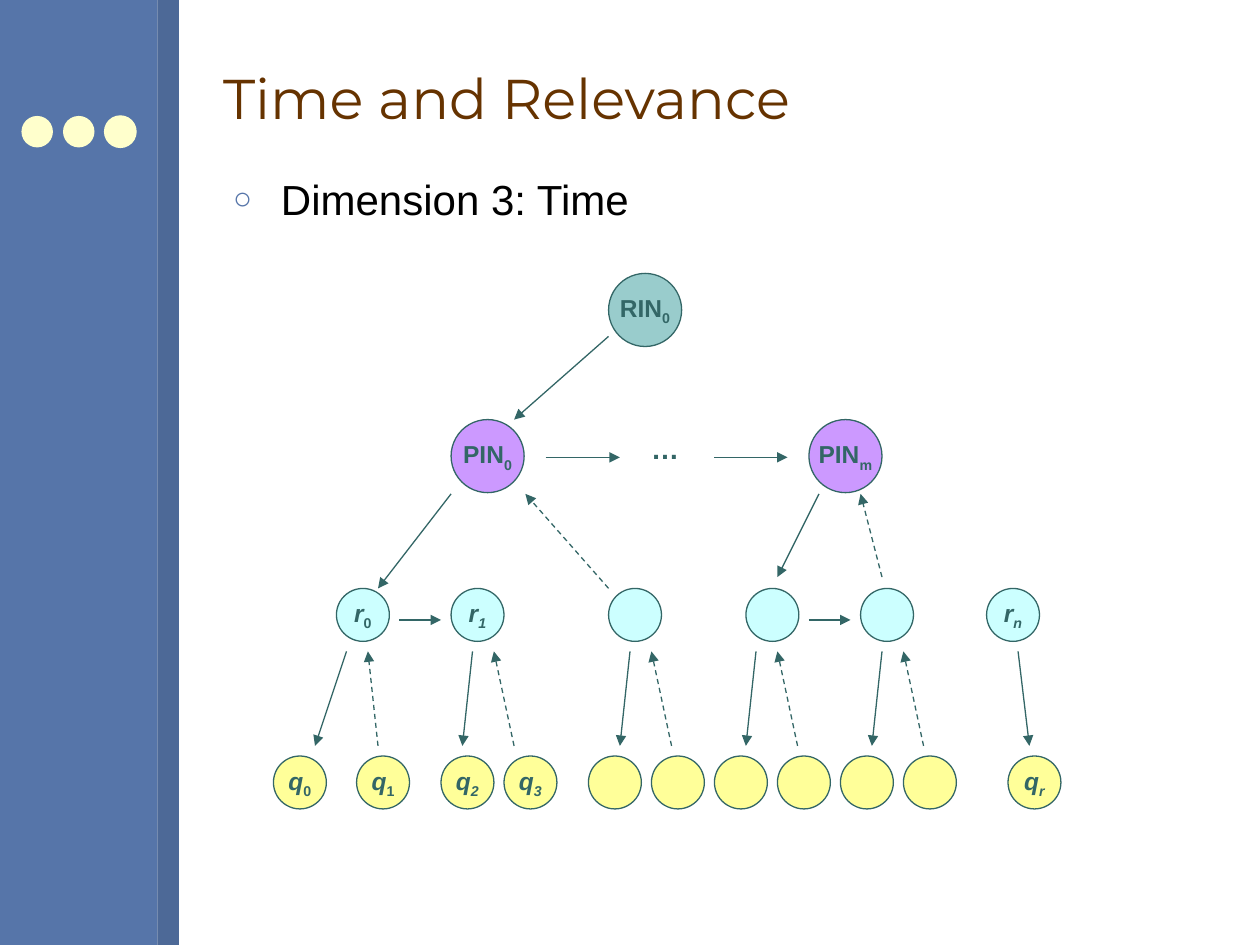
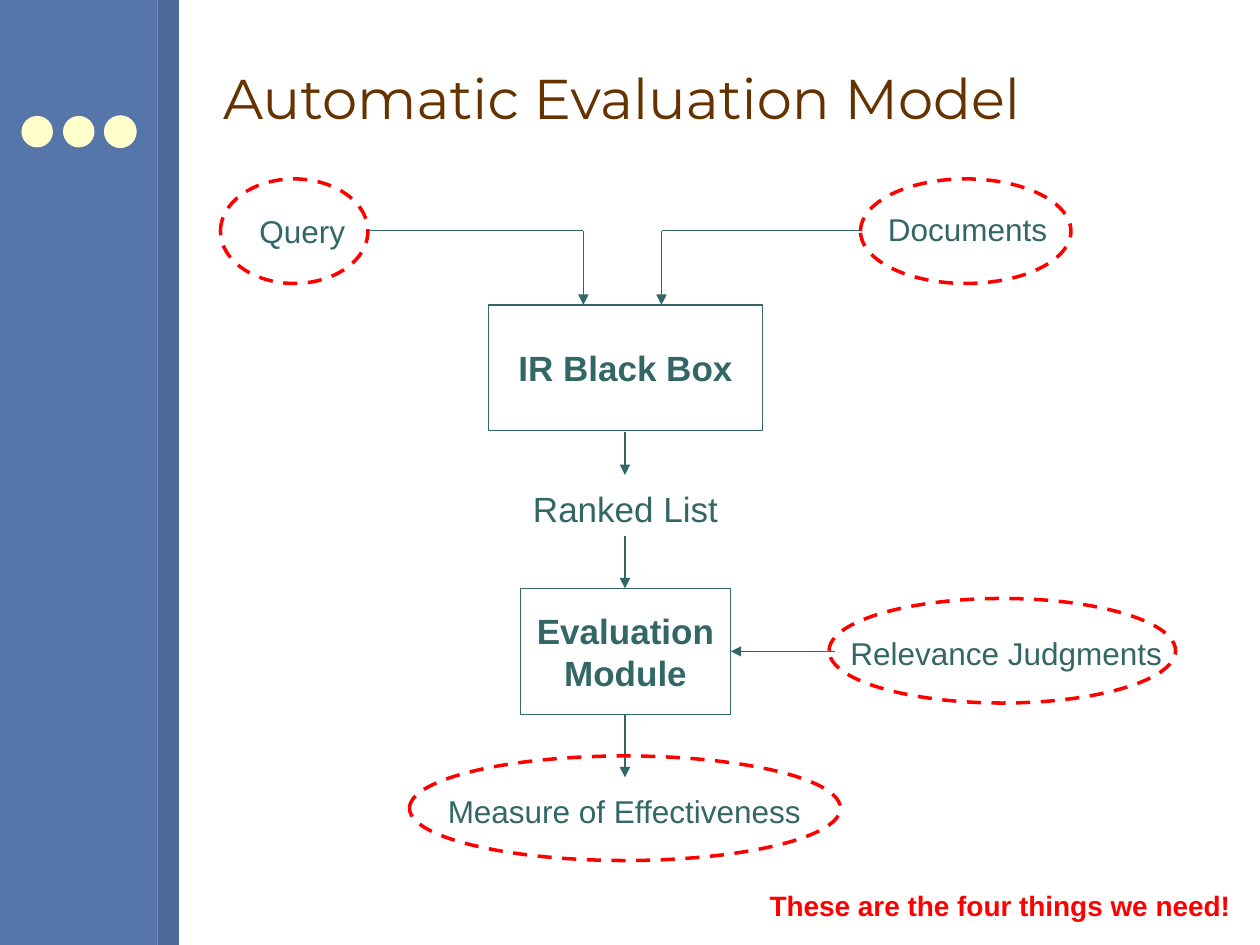
"""Builds two slides: a search timeline tree and an evaluation flow chart."""
import lxml.etree
import pptx
import pptx.dml.color
import pptx.enum.dml
import pptx.enum.shapes
import pptx.enum.text
import pptx.oxml.ns
import pptx.util

Inches = pptx.util.Inches
Pt = pptx.util.Pt
RGBColor = pptx.dml.color.RGBColor
Shape = pptx.enum.shapes.MSO_SHAPE
Align = pptx.enum.text.PP_ALIGN
Anchor = pptx.enum.text.MSO_ANCHOR
DASH = pptx.enum.dml.MSO_LINE.DASH
qn = pptx.oxml.ns.qn

BLUE = RGBColor(0x56, 0x75, 0xA9)
DARK_BLUE = RGBColor(0x4D, 0x69, 0x97)
CREAM = RGBColor(0xFF, 0xFF, 0xCC)
BROWN = RGBColor(0x66, 0x33, 0x00)
BLACK = RGBColor(0x00, 0x00, 0x00)
TEAL = RGBColor(0x33, 0x66, 0x66)
LIGHT_TEAL = RGBColor(0x99, 0xCC, 0xCC)
PURPLE = RGBColor(0xCC, 0x99, 0xFF)
CYAN = RGBColor(0xCC, 0xFF, 0xFF)
YELLOW = RGBColor(0xFF, 0xFF, 0x99)
RED = RGBColor(0xFF, 0x00, 0x00)

BANDS = [(0, 1.25, BLUE), (1.25, 0.17, DARK_BLUE)]
DOTS = [(0.17, None), (0.5, None), (0.83, CREAM)]
TITLE_BOX = (1.67, 0.21, 8, 1.13)
BODY_BOX = (1.75, 1.33, 7.92, 5.83)
TITLE_FONT = {"name": "Montserrat", "size": Pt(32)}
BODY_FONT = {"name": "Arial", "size": Pt(24)}
NODE_FONT = {"name": "Arial", "size": Pt(14), "bold": True}
STRONG_FONT = {"name": "Arial", "size": Pt(16), "bold": True}
BOX_FONT = {"name": "Arial", "size": Pt(20), "bold": True}
LIST_FONT = {"name": "Arial", "size": Pt(20)}
LABEL_FONT = {"name": "Arial", "size": Pt(18)}

TIME_TITLE = "Time and Relevance"
TIME_POINT = "Dimension 3: Time"
LEVELS = [
    {"letter": "RIN", "top": 2.17, "size": 0.58, "fill": LIGHT_TEAL, "italic": False,
     "nodes": [(4.83, "0")]},
    {"letter": "PIN", "top": 3.33, "size": 0.58, "fill": PURPLE, "italic": False,
     "nodes": [(3.58, "0"), (6.42, "m")]},
    {"letter": "r", "top": 4.67, "size": 0.42, "fill": CYAN, "italic": True,
     "nodes": [(2.67, "0"), (3.58, "1"), (4.83, ""), (5.92, ""), (6.83, ""), (7.83, "n")]},
    {"letter": "q", "top": 6, "size": 0.42, "fill": YELLOW, "italic": True,
     "nodes": [(2.17, "0"), (2.83, "1"), (3.5, "2"), (4, "3"), (4.67, ""), (5.17, ""),
               (5.67, ""), (6.17, ""), (6.67, ""), (7.17, ""), (8, "r")]},
]
UPRIGHT_SUBSCRIPTS = [("r", "0"), ("q", "0"), ("q", "1")]
ELLIPSIS = ("…", (5.07, 3.38, 0.42, 0.37))
STEPS = [
    ((4.83, 2.67), (4.08, 3.33)), ((4.33, 3.63), (4.92, 3.63)),
    ((5.67, 3.63), (6.25, 3.63)), ((3.58, 3.92), (3, 4.67)),
    ((6.5, 3.92), (6.17, 4.58)), ((3.17, 4.92), (3.5, 4.92)),
    ((6.42, 4.92), (6.75, 4.92)),
]
RETURNS = [((4.83, 4.67), (4.17, 3.92)), ((7, 4.58), (6.83, 3.92))]
NEED_BOTTOM, QUERY_TOP = 5.17, 5.92
NEED_TO_QUERY = [(2.75, 2.5), (3.75, 3.67), (5, 4.92), (6, 5.92), (7, 6.92), (8.08, 8.17)]
QUERY_TO_NEED = [(3, 2.92), (4.08, 3.92), (5.33, 5.17), (6.33, 6.17), (7.33, 7.17)]

MODEL_TITLE = "Automatic Evaluation Model"
MODULES = [
    (["IR Black Box"], (3.88, 2.42, 2.17, 1)),
    (["Evaluation", "Module"], (4.13, 4.67, 1.67, 1)),
]
LABELS = [
    ("Query", (1.95, 1.63, 0.9, 0.4), LABEL_FONT, TEAL, Align.CENTER, False),
    ("Documents", (6.93, 1.62, 1.5, 0.4), LABEL_FONT, TEAL, Align.CENTER, False),
    ("Ranked List", (4.11, 3.82, 1.71, 0.44), LIST_FONT, TEAL, Align.CENTER, False),
    ("Relevance Judgments", (6.65, 4.98, 2.75, 0.4), LABEL_FONT, TEAL, Align.LEFT, True),
    ("Measure of Effectiveness", (3.33, 6.24, 3.25, 0.4), LABEL_FONT, TEAL, Align.CENTER, True),
    ("These are the four things we need!", (6.01, 7, 3.9, 0.37), STRONG_FONT, RED,
     Align.LEFT, True),
]
INPUT_LINES = [((2.91, 1.83), (4.63, 1.83)), ((6.84, 1.83), (5.25, 1.83))]
FLOW_ARROWS = [
    ((4.63, 1.83), (4.63, 2.42)), ((5.25, 1.83), (5.25, 2.42)),
    ((4.96, 3.43), (4.96, 3.77)), ((4.96, 4.25), (4.96, 4.67)),
    ((4.96, 5.67), (4.96, 6.17)), ((6.63, 5.17), (5.8, 5.17)),
]
NEEDED_THINGS = [(1.75, 1.42, 1.17, 0.83), (6.83, 1.42, 1.67, 0.83),
                 (6.58, 4.75, 2.75, 0.83), (3.25, 6, 3.42, 0.83)]


def apply(target, values):
    for attribute, value in values.items():
        setattr(target, attribute, value)


def inches(box):
    return [Inches(length) for length in box]


def place(placeholder, box):
    apply(placeholder, dict(zip(("left", "top", "width", "height"), inches(box))))


def add_run(paragraph, text, font, color):
    run = paragraph.add_run()
    run.text = text
    apply(run.font, font)
    run.font.color.rgb = color
    return run


def draw_line(line, color, width=0.75, dash=None):
    line.color.rgb = color
    apply(line, {"width": Pt(width), "dash_style": dash})


def add_figure(slide, kind, box, fill=None, line=None, width=0.75, dash=None):
    figure = slide.shapes.add_shape(kind, *inches(box))
    figure.shadow.inherit = False
    if fill is None:
        figure.fill.background()
    else:
        figure.fill.solid()
        figure.fill.fore_color.rgb = fill
    if line is None:
        figure.line.fill.background()
    else:
        draw_line(figure.line, line, width, dash)
    return figure


def add_link(slide, start, end, dash=None, arrow=True):
    link = slide.shapes.add_connector(
        pptx.enum.shapes.MSO_CONNECTOR.STRAIGHT, *inches(start + end))
    draw_line(link.line, TEAL, dash=dash)
    properties = link._element.spPr
    if arrow:
        lxml.etree.SubElement(properties.find(qn("a:ln")), qn("a:tailEnd"), type="triangle")
    lxml.etree.SubElement(properties, qn("a:effectLst"))


def add_label(slide, text, box, font, color, alignment, wrap):
    frame = slide.shapes.add_textbox(*inches(box)).text_frame
    apply(frame, {"word_wrap": wrap,
                  "auto_size": pptx.enum.text.MSO_AUTO_SIZE.SHAPE_TO_FIT_TEXT})
    frame.paragraphs[0].alignment = alignment
    add_run(frame.paragraphs[0], text, font, color)


def add_bullet(paragraph):
    apply(paragraph, {"space_before": Pt(7.5), "space_after": Pt(7.5)})
    properties = paragraph._p.get_or_add_pPr()
    properties.set("marL", str(Inches(0.38)))
    properties.set("indent", str(-Inches(0.38)))
    bullet_color = lxml.etree.SubElement(properties, qn("a:buClr"))
    lxml.etree.SubElement(bullet_color, qn("a:srgbClr"), val=str(BLUE))
    lxml.etree.SubElement(properties, qn("a:buSzPct"), val="75000")
    lxml.etree.SubElement(properties, qn("a:buChar"), char="○")


def add_framed_slide(deck, layout, title):
    slide = deck.slides.add_slide(deck.slide_layouts[layout])
    for left, width, fill in BANDS:
        add_figure(slide, Shape.RECTANGLE, (left, 0, width, 7.5), fill)
    for left, line in DOTS:
        add_figure(slide, Shape.OVAL, (left, 0.92, 0.25, 0.25), CREAM, line)
    heading = slide.shapes.title
    place(heading, TITLE_BOX)
    heading.text_frame.vertical_anchor = Anchor.MIDDLE
    heading.text_frame.paragraphs[0].alignment = Align.LEFT
    add_run(heading.text_frame.paragraphs[0], title, TITLE_FONT, BROWN)
    return slide


def add_node(slide, level, left, subscript):
    size = level["size"]
    node = add_figure(slide, Shape.OVAL, (left, level["top"], size, size), level["fill"], TEAL)
    if not subscript:
        return
    apply(node.text_frame, {"word_wrap": False, "vertical_anchor": Anchor.MIDDLE})
    paragraph = node.text_frame.paragraphs[0]
    paragraph.alignment = Align.CENTER
    letter, italic = level["letter"], level["italic"]
    add_run(paragraph, letter, {**NODE_FONT, "italic": italic}, TEAL)
    slanted = italic and (letter, subscript) not in UPRIGHT_SUBSCRIPTS
    index = add_run(paragraph, subscript, {**NODE_FONT, "italic": slanted}, TEAL)
    index._r.get_or_add_rPr().set("baseline", "-25000")


def build_time_slide(deck):
    slide = add_framed_slide(deck, 1, TIME_TITLE)
    body = slide.placeholders[1]
    place(body, BODY_BOX)
    add_run(body.text_frame.paragraphs[0], TIME_POINT, BODY_FONT, BLACK)
    add_bullet(body.text_frame.paragraphs[0])
    for level in LEVELS:
        for left, subscript in level["nodes"]:
            add_node(slide, level, left, subscript)
    add_label(slide, *ELLIPSIS, STRONG_FONT, TEAL, Align.LEFT, False)
    asked = [((need, NEED_BOTTOM), (query, QUERY_TOP)) for need, query in NEED_TO_QUERY]
    answered = [((query, QUERY_TOP), (need, NEED_BOTTOM)) for query, need in QUERY_TO_NEED]
    for links, dash in ((STEPS + asked, None), (RETURNS + answered, DASH)):
        for start, end in links:
            add_link(slide, start, end, dash)


def build_model_slide(deck):
    slide = add_framed_slide(deck, 5, MODEL_TITLE)
    for lines, box in MODULES:
        frame = add_figure(slide, Shape.RECTANGLE, box, line=TEAL).text_frame
        apply(frame, {"word_wrap": False, "vertical_anchor": Anchor.MIDDLE})
        for number, text in enumerate(lines):
            paragraph = frame.add_paragraph() if number else frame.paragraphs[0]
            paragraph.alignment = Align.CENTER
            add_run(paragraph, text, BOX_FONT, TEAL)
    for links, arrow in ((INPUT_LINES, False), (FLOW_ARROWS, True)):
        for start, end in links:
            add_link(slide, start, end, arrow=arrow)
    for label in LABELS:
        add_label(slide, *label)
    for box in NEEDED_THINGS:
        add_figure(slide, Shape.OVAL, box, line=RED, width=2, dash=DASH)


def main():
    deck = pptx.Presentation()
    apply(deck, {"slide_width": Inches(10), "slide_height": Inches(7.5)})
    build_time_slide(deck)
    build_model_slide(deck)
    deck.save("out.pptx")


if __name__ == "__main__":
    main()
